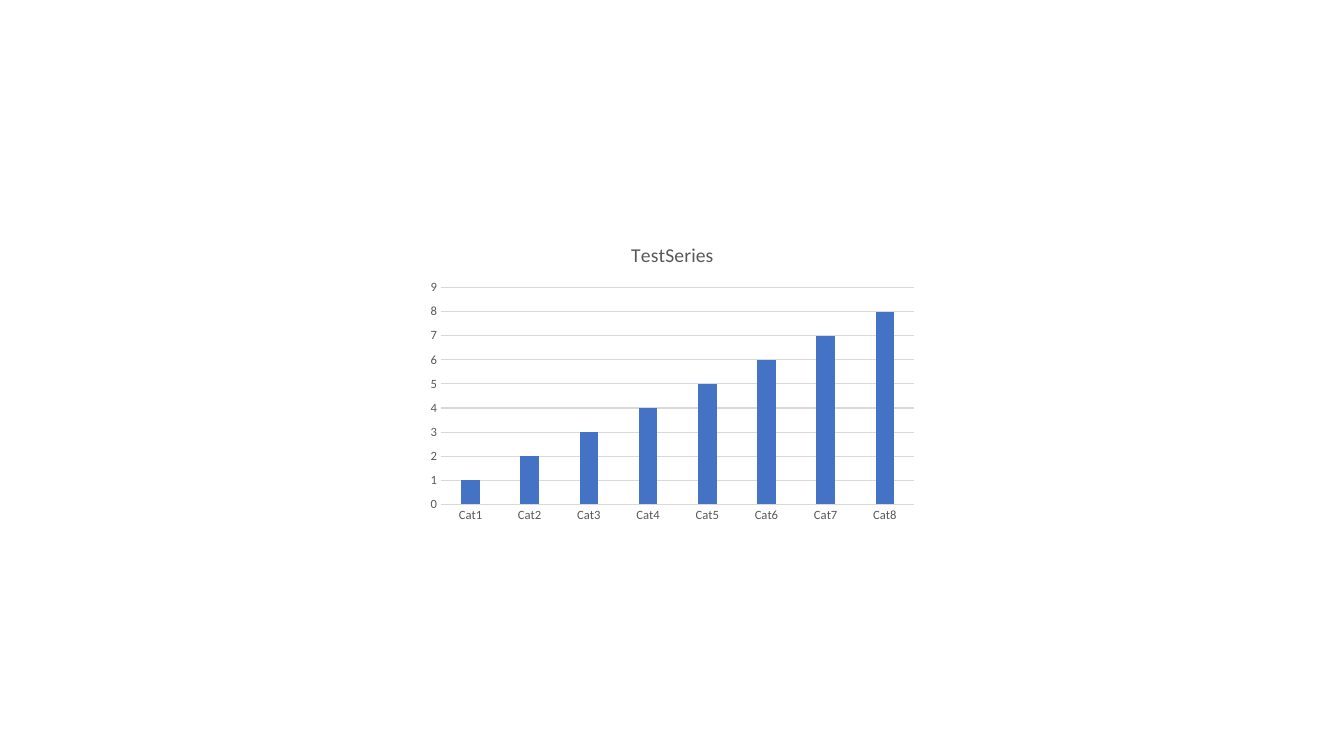
import pptx
import pptx.chart.data
import pptx.dml.color
import pptx.enum.chart
import pptx.util

EMU_PER_PX = 9144  # 100 px to the inch
FONT = "Calibri"
TEXT = "595959"
RULE = "D9D9D9"
BAR = "4472C4"


def px(n):
    return pptx.util.Emu(n * EMU_PER_PX)


def rgb(value):
    return pptx.dml.color.RGBColor.from_string(value)


def style_font(font, size, color):
    font.name = FONT
    font.size = pptx.util.Pt(size)
    font.bold = False
    font.color.rgb = rgb(color)


def style_line(line):
    line.color.rgb = rgb(RULE)
    line.width = pptx.util.Pt(0.75)


def style_axis(axis):
    axis.major_tick_mark = pptx.enum.chart.XL_TICK_MARK.NONE
    axis.minor_tick_mark = pptx.enum.chart.XL_TICK_MARK.NONE
    style_font(axis.tick_labels.font, 9, TEXT)


def set_chart_title(chart, text):
    chart.has_title = True
    tf = chart.chart_title.text_frame
    tf.text = text
    style_font(tf.paragraphs[0].runs[0].font, 14, TEXT)
    chart.chart_title.include_in_layout = False


def add_column_chart(slide, x, y, w, h, name, categories, values):
    data = pptx.chart.data.CategoryChartData()
    data.categories = categories
    data.add_series(name, values)
    chart = slide.shapes.add_chart(
        pptx.enum.chart.XL_CHART_TYPE.COLUMN_CLUSTERED,
        px(x), px(y), px(w), px(h), data).chart
    chart.has_legend = False
    style_font(chart.font, 10, "000000")
    set_chart_title(chart, name)

    # Columns
    plot = chart.plots[0]
    plot.gap_width = 219
    plot.overlap = -27
    plot.vary_by_categories = False
    fill = plot.series[0].format.fill
    fill.solid()
    fill.fore_color.rgb = rgb(BAR)

    # Axes and gridlines
    style_axis(chart.category_axis)
    style_line(chart.category_axis.format.line)
    value_axis = chart.value_axis
    style_axis(value_axis)
    value_axis.format.line.fill.background()
    value_axis.has_major_gridlines = True
    style_line(value_axis.major_gridlines.format.line)


def main():
    prs = pptx.Presentation()
    prs.slide_width, prs.slide_height = px(1333), px(750)
    slide = prs.slides.add_slide(prs.slide_layouts[6])

    # Eight categories with rising values
    values = range(1, 9)
    add_column_chart(slide, 417, 225, 500, 300, "TestSeries",
                     [f"Cat{n}" for n in values], values)
    prs.save("out.pptx")


if __name__ == "__main__":
    main()
